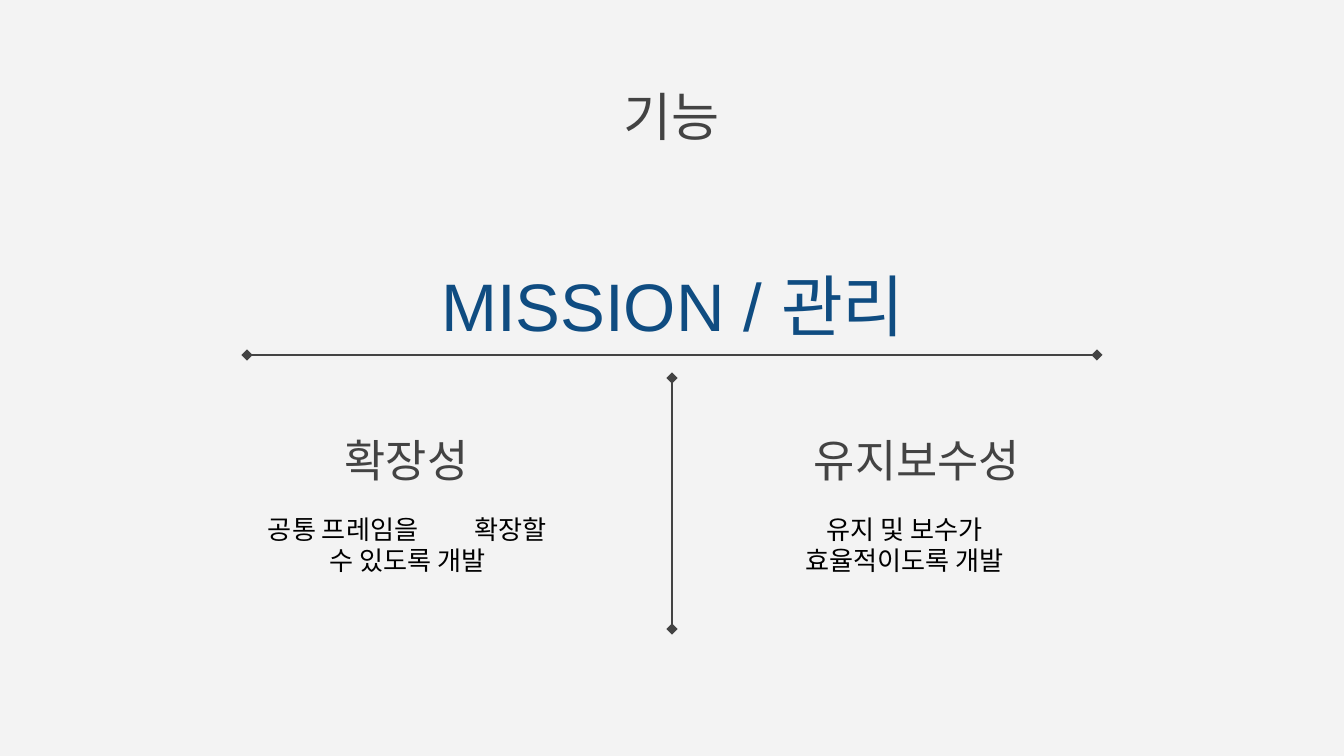
from lxml.etree import SubElement
from pptx import Presentation
from pptx.dml.color import RGBColor
from pptx.enum.shapes import MSO_CONNECTOR
from pptx.enum.text import MSO_ANCHOR, PP_ALIGN
from pptx.oxml.ns import qn
from pptx.util import Inches, Pt

PX = 9144000 / 1344
GREY, BLUE, BLACK = "434343", "0F4C81", "000000"
SANS, HANGUL = "Arial", "Noto Sans CJK KR"
TOP, MID, LOW = MSO_ANCHOR.TOP, MSO_ANCHOR.MIDDLE, MSO_ANCHOR.BOTTOM


def color(code):
    return RGBColor.from_string(code)


def label(text, box, size, hue, face=HANGUL, anchor=TOP, after=0):
    shape = slide.shapes.add_textbox(*[round(v * PX) for v in box])
    frame = shape.text_frame
    frame.word_wrap = True
    frame.vertical_anchor = anchor
    frame.margin_left = frame.margin_right = Inches(0.1)
    frame.margin_top = frame.margin_bottom = Inches(0.1)
    frame.text = text[0]
    para = frame.paragraphs[0]
    para.alignment = PP_ALIGN.CENTER
    para.space_after = Pt(after)
    for part in text[1:]:
        para.add_run().text = part
    for run in para.runs:
        run.font.size = Pt(size)
        run.font.name = face
        run.font.color.rgb = color(hue)
        SubElement(run.font._element, qn("a:ea"), typeface=HANGUL)
    return para


deck = Presentation()
deck.slide_width = round(1344 * PX)
deck.slide_height = round(756 * PX)
slide = deck.slides.add_slide(deck.slide_layouts[6])
fill = slide.background.fill
fill.solid()
fill.fore_color.rgb = color("F3F3F3")

# Title and mission
label(["기능"], (207, 71, 929, 85), 28, GREY)
label(["MISSION / 관리"], (394, 280, 558, 50), 36, BLUE, SANS, MID)

# Dividers with diamond ends
for ends in [(247, 355, 1097, 355), (672, 629, 672, 378)]:
    line = slide.shapes.add_connector(
        MSO_CONNECTOR.STRAIGHT, *[round(v * PX) for v in ends])
    line.line.color.rgb = color(GREY)
    line.line.width = Pt(0.75)
    pen = line.line._get_or_add_ln()
    for tip in ("a:headEnd", "a:tailEnd"):
        SubElement(pen, qn(tip), type="diamond")
    SubElement(line._element.spPr, qn("a:effectLst"))

# Two columns: heading above description
columns = [
    ("확장성", 286, 241, ["공통 프레임을", " ", "확장할 수 있도록 개발"], 249, 317),
    ("유지보수성", 790, 254, ["유지 및 보수가 효율적이도록 개발"], 766, 278),
]
for head, left, wide, body, start, span in columns:
    label([head], (left, 415, wide, 85), 24, GREY, anchor=LOW)
    para = label(body, (start, 500, span, 114), 14, BLACK, SANS, after=16)
    # Widen the lone space into a gap
    for run in para.runs:
        if run.text == " ":
            run.font._element.set("spc", "2700")

deck.save("out.pptx")
